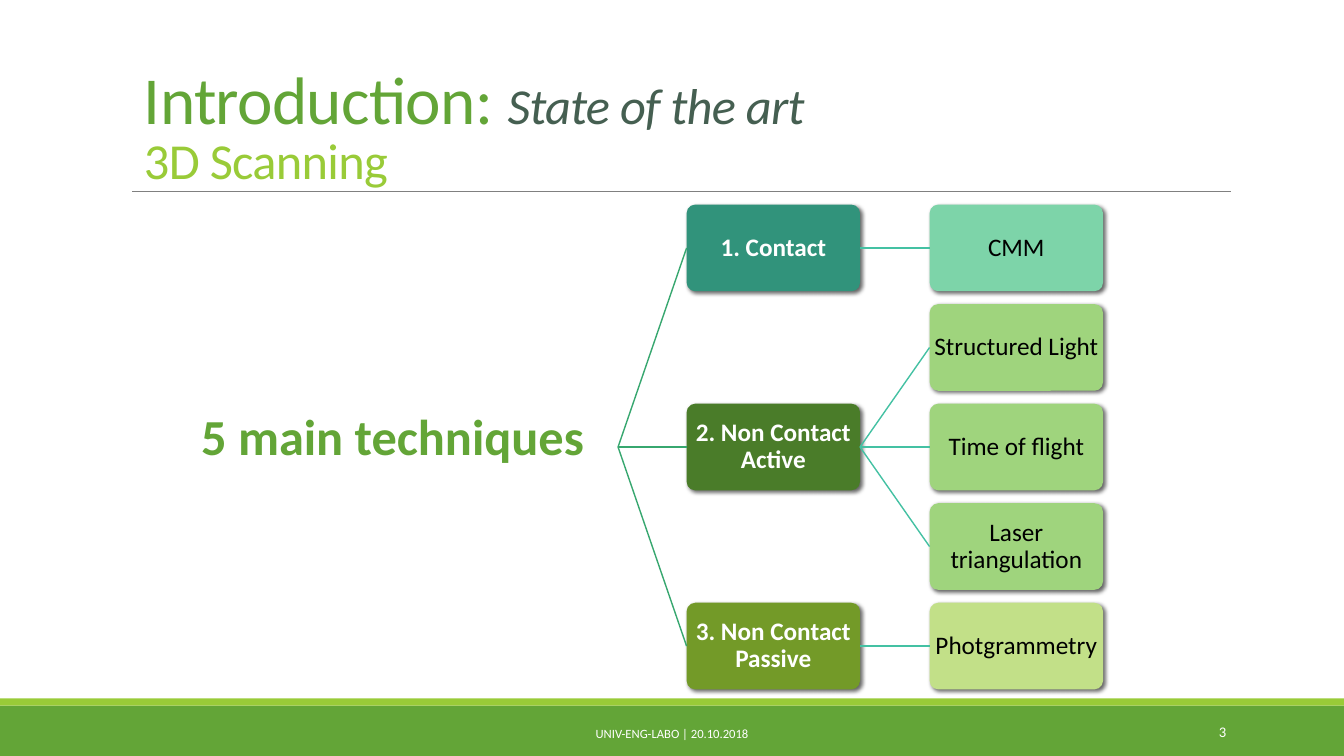
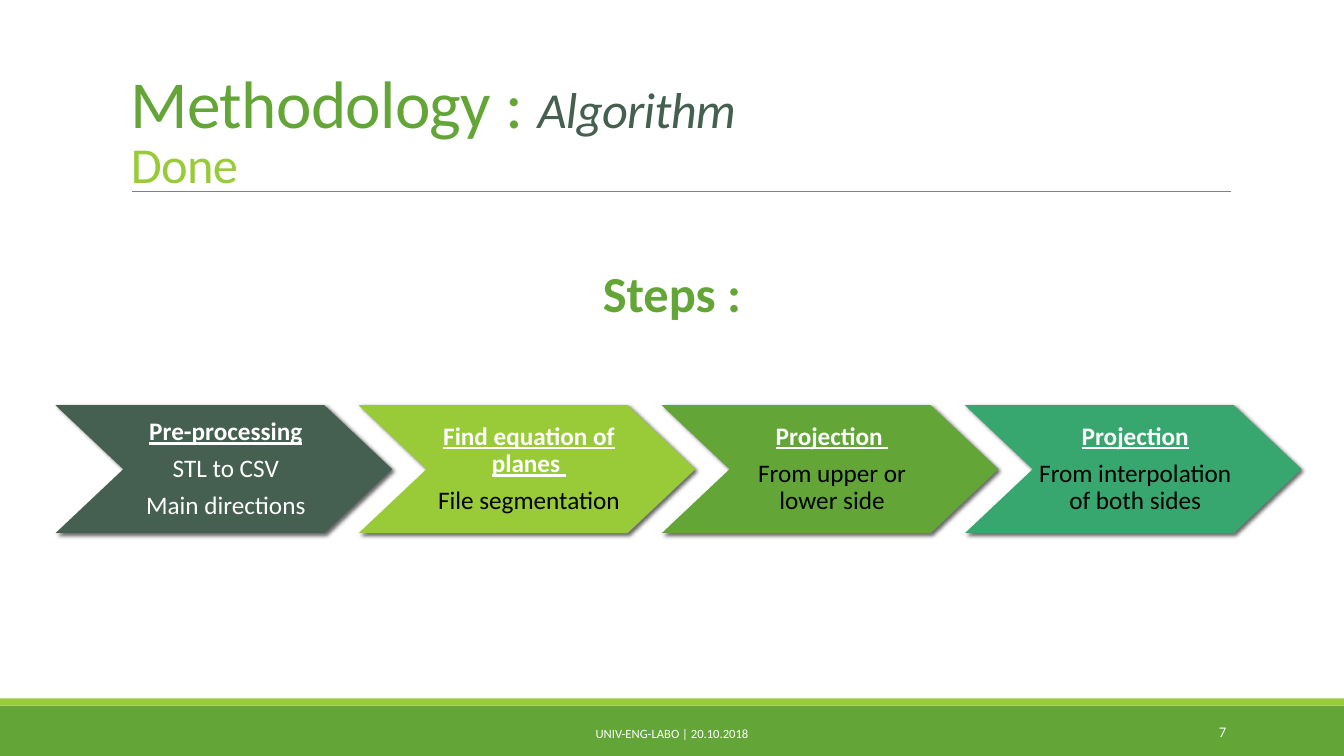
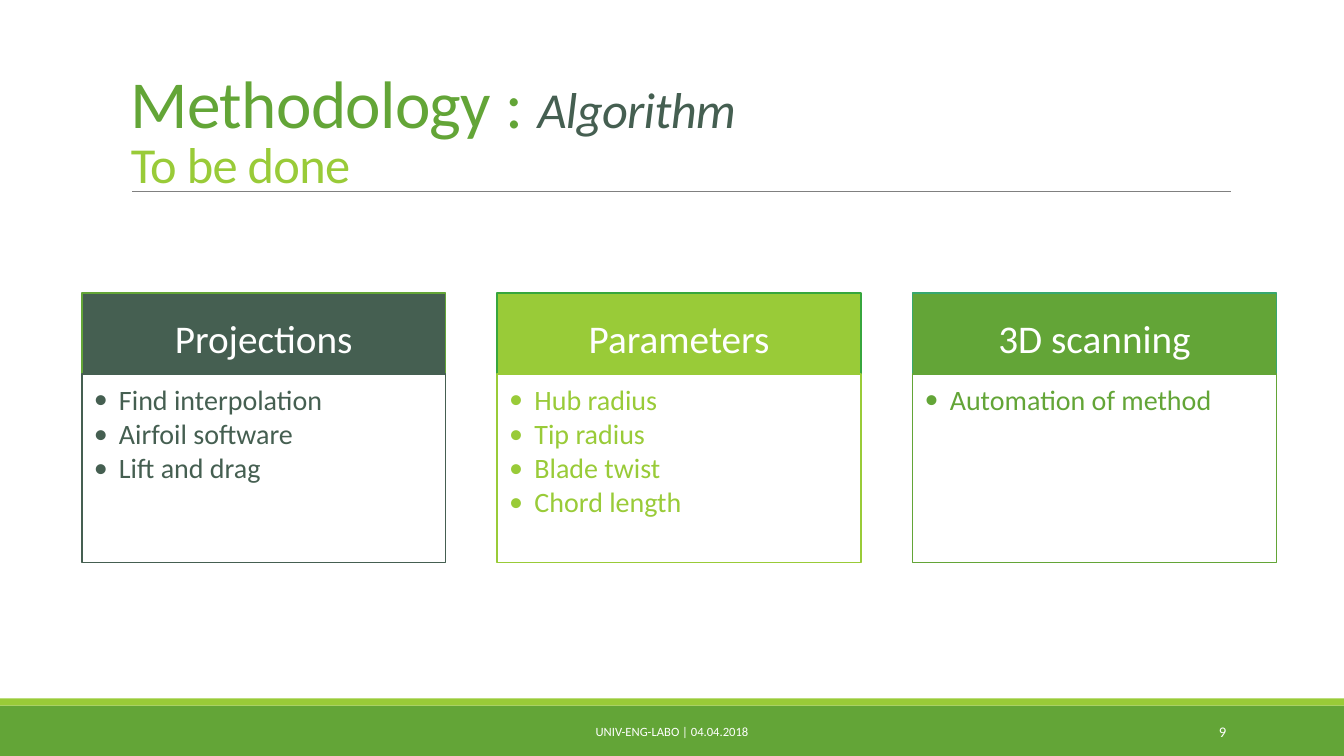
"""Build three slides on 3D scanning techniques and the processing algorithm."""
from lxml.etree import SubElement
from pptx import Presentation
from pptx.dml.color import RGBColor
from pptx.enum.shapes import MSO_CONNECTOR, MSO_SHAPE
from pptx.enum.text import MSO_ANCHOR, PP_ALIGN
from pptx.oxml.ns import qn
from pptx.util import Inches, Pt

FONT = "Calibri"
WIDTH, HEIGHT = 13.33, 7.5
WHITE = RGBColor(0xFF, 0xFF, 0xFF)
BLACK = RGBColor(0x00, 0x00, 0x00)
GREY = RGBColor(0x80, 0x80, 0x80)
GREEN = RGBColor(0x63, 0xA5, 0x37)
LIME = RGBColor(0x99, 0xCB, 0x38)
SLATE = RGBColor(0x45, 0x5F, 0x51)
EMERALD = RGBColor(0x37, 0xA7, 0x6F)
BRIGHT_GREEN = RGBColor(0x37, 0xA6, 0x3D)
TURQUOISE = RGBColor(0x44, 0xC1, 0xA3)
TEAL = RGBColor(0x31, 0x93, 0x7B)
MINT = RGBColor(0x7D, 0xD4, 0xA9)
FOREST = RGBColor(0x4A, 0x7C, 0x29)
LEAF = RGBColor(0x9F, 0xD4, 0x7D)
OLIVE = RGBColor(0x73, 0x9A, 0x28)
PALE_LIME = RGBColor(0xC2, 0xE0, 0x88)


def add_block(slide, kind, place, fill, outline=None, shadow=False):
    shape = slide.shapes.add_shape(kind, *map(Inches, place))
    shape.shadow.inherit = False
    shape.fill.solid()
    shape.fill.fore_color.rgb = fill
    if outline is None:
        shape.line.fill.background()
    else:
        shape.line.color.rgb = outline
        shape.line.width = Pt(1.25)
    if shadow:
        effects = shape._element.spPr.find(qn("a:effectLst"))
        outer = SubElement(effects, qn("a:outerShdw"), blurRad=str(Pt(3)),
                           dist=str(Pt(2)), dir="2700000", rotWithShape="0")
        color = SubElement(outer, qn("a:srgbClr"), val=str(BLACK))
        SubElement(color, qn("a:alpha"), val="60000")
    return shape


def write(shape, text, size, color, bold=False, align=PP_ALIGN.CENTER, anchor=MSO_ANCHOR.MIDDLE,
          margins=(0.1, 0.05, 0.1, 0.05), spacing=0.9, before=0, after=0):
    frame = shape.text_frame
    frame.text = text
    frame.word_wrap = True
    frame.vertical_anchor = anchor
    frame.margin_left, frame.margin_top, frame.margin_right, frame.margin_bottom = map(Inches, margins)
    for paragraph in frame.paragraphs:
        paragraph.alignment = align
        paragraph.line_spacing = spacing
        paragraph.space_before = Pt(before)
        paragraph.space_after = Pt(after)
        font = paragraph.runs[0].font
        font.name, font.size, font.bold = FONT, Pt(size), bold
        font.color.rgb = color


presentation = Presentation()
presentation.slide_width = Inches(WIDTH)
presentation.slide_height = Inches(HEIGHT)
blank = presentation.slide_layouts[6]

slides = []
for topic, detail, subtitle, title_place, number, date, footer_top in (
    ("Introduction: ", "State of the art ", "3D Scanning", (1.33, 0.48, 10.87, 1.45), "3", "20.10.2018", 7.08),
    ("Methodology : ", "Algorithm", "Done", (1.2, -0.17, 11.06, 2.14), "7", "20.10.2018", 7.08),
    ("Methodology : ", "Algorithm", "To be done", (1.2, -0.17, 11.06, 2.14), "9", "04.04.2018", 7.06),
):
    slide = presentation.slides.add_slide(blank)
    slides.append(slide)
    add_block(slide, MSO_SHAPE.RECTANGLE, (0, 7, WIDTH, 0.5), GREEN)
    add_block(slide, MSO_SHAPE.RECTANGLE, (0, 6.93, WIDTH, 0.07), LIME)
    rule = slide.shapes.add_connector(MSO_CONNECTOR.STRAIGHT, *map(Inches, (1.31, 1.9, 12.21, 1.9)))
    rule.line.color.rgb = GREY
    rule.line.width = Pt(0.5)
    SubElement(rule._element.spPr, qn("a:effectLst"))

    title = slide.shapes.add_textbox(*map(Inches, title_place))
    write(title, topic, 48, GREEN, align=PP_ALIGN.LEFT, anchor=MSO_ANCHOR.BOTTOM, spacing=0.85)
    paragraph = title.text_frame.paragraphs[0]
    for text, color, italic in ((detail, SLATE, True), (subtitle, LIME, False)):
        if text == subtitle:
            paragraph.add_line_break()
        run = paragraph.add_run()
        run.text = text
        run.font.name, run.font.size, run.font.italic = FONT, Pt(36), italic
        run.font.color.rgb = color
    for run in paragraph.runs:
        run.font._element.set("spc", "-50")

    page = slide.shapes.add_textbox(*map(Inches, (10.83, 7.06, 1.43, 0.4)))
    write(page, number, 10.5, WHITE, align=PP_ALIGN.RIGHT, spacing=1.0)
    footer = slide.shapes.add_textbox(*map(Inches, (4.03, footer_top, 5.27, 0.4)))
    write(footer, f"UNIV-ENG-LABO | {date}", 9, WHITE, spacing=1.0)

scanning, done, planned = slides

for slide, text, left, top in ((scanning, "5 main techniques", 1.33, 4.04), (done, "Steps :", 4.1, 2.62)):
    heading = slide.shapes.add_textbox(*map(Inches, (left, top, 5.13, 0.78)))
    write(heading, text, 36, GREEN, bold=True, anchor=MSO_ANCHOR.TOP, before=10)

tree_left, tree_top = 6.81, 2.03
column_step, row_step = 2.41, (5.98 - tree_top) / 4
box_width, box_height = 1.72, 0.86
root = (Inches(6.13), Inches(tree_top + 2 * row_step + box_height / 2))
nodes = {}
for text, column, row, fill, parent in (
    ("1. Contact", 0, 0, TEAL, None),
    ("CMM", 1, 0, MINT, "1. Contact"),
    ("2. Non Contact Active", 0, 2, FOREST, None),
    ("Structured Light", 1, 1, LEAF, "2. Non Contact Active"),
    ("Time of flight", 1, 2, LEAF, "2. Non Contact Active"),
    ("Laser triangulation", 1, 3, LEAF, "2. Non Contact Active"),
    ("3. Non Contact Passive", 0, 4, OLIVE, None),
    ("Photgrammetry", 1, 4, PALE_LIME, "3. Non Contact Passive"),
):
    place = (tree_left + column * column_step, tree_top + row * row_step, box_width, box_height)
    node = add_block(scanning, MSO_SHAPE.ROUNDED_RECTANGLE, place, fill, shadow=True)
    node.adjustments[0] = 0.1
    write(node, text, 18, BLACK if parent else WHITE, bold=parent is None,
          margins=(0.01,) * 4, after=6.8)
    nodes[text] = node
    branch = scanning.shapes.add_connector(MSO_CONNECTOR.STRAIGHT, *root, *root)
    if parent:
        branch.begin_connect(nodes[parent], 3)
    branch.end_connect(node, 1)
    branch.line.color.rgb = TURQUOISE if parent else EMERALD
    branch.line.width = Pt(1)
    SubElement(branch._element.spPr, qn("a:effectLst"))

step_left, step_pitch = 0.55, (9.57 - 0.55) / 3
for index, (lines, fill, color) in enumerate((
    (("Pre-processing", "STL to CSV", "Main directions"), SLATE, WHITE),
    (("Find equation of planes ", "File segmentation"), LIME, BLACK),
    (("Projection ", "From upper or lower side"), GREEN, BLACK),
    (("Projection", "From interpolation of both sides"), EMERALD, BLACK),
)):
    place = (step_left + index * step_pitch, 4.02, 3.34, 1.27)
    step = add_block(done, MSO_SHAPE.CHEVRON, place, fill, shadow=True)
    step.adjustments[0] = 0.53
    write(step, "\n".join(lines), 18, color, margins=(0.04, 0.03, 0, 0.03), after=6.8)
    font = step.text_frame.paragraphs[0].runs[0].font
    font.bold = font.underline = True
    font.color.rgb = WHITE

card_left, card_pitch, card_width = 0.81, 4.12, 3.61
for index, (heading, tasks, color, outline) in enumerate((
    ("Projections", ("Find interpolation", "Airfoil software", "Lift and drag"), SLATE, GREEN),
    ("Parameters", ("Hub radius", "Tip radius", "Blade twist", "Chord length"), LIME, BRIGHT_GREEN),
    ("3D scanning", ("Automation of method",), GREEN, EMERALD),
)):
    left = card_left + index * card_pitch
    header = add_block(planned, MSO_SHAPE.RECTANGLE, (left, 2.91, card_width, 0.94), color, outline)
    write(header, heading, 28, WHITE, margins=(0.22, 0.12, 0.22, 0.12), after=10.5)
    body = add_block(planned, MSO_SHAPE.RECTANGLE, (left, 3.71, card_width, 1.87), WHITE, color)
    write(body, "\n".join(tasks), 20, color, align=PP_ALIGN.LEFT, anchor=MSO_ANCHOR.TOP,
          margins=(0.12, 0.12, 0.16, 0.17), after=2.8)
    for paragraph in body.text_frame.paragraphs:
        properties = paragraph._p.get_or_add_pPr()
        properties.set("marL", str(Inches(0.25)))
        properties.set("indent", str(-Inches(0.25)))
        SubElement(properties, qn("a:buFont"), typeface=FONT)
        SubElement(properties, qn("a:buChar"), char="•")

presentation.save("out.pptx")
